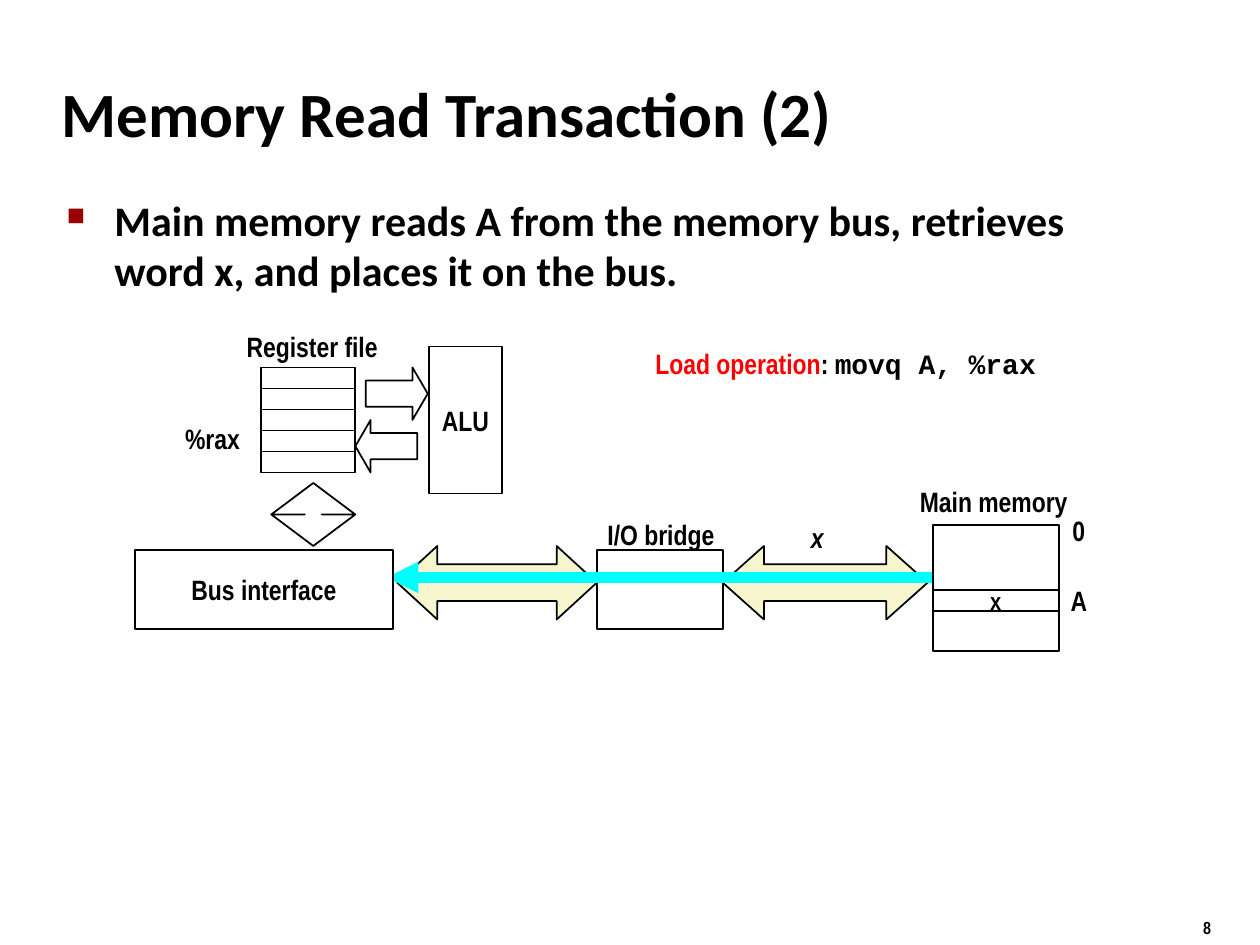
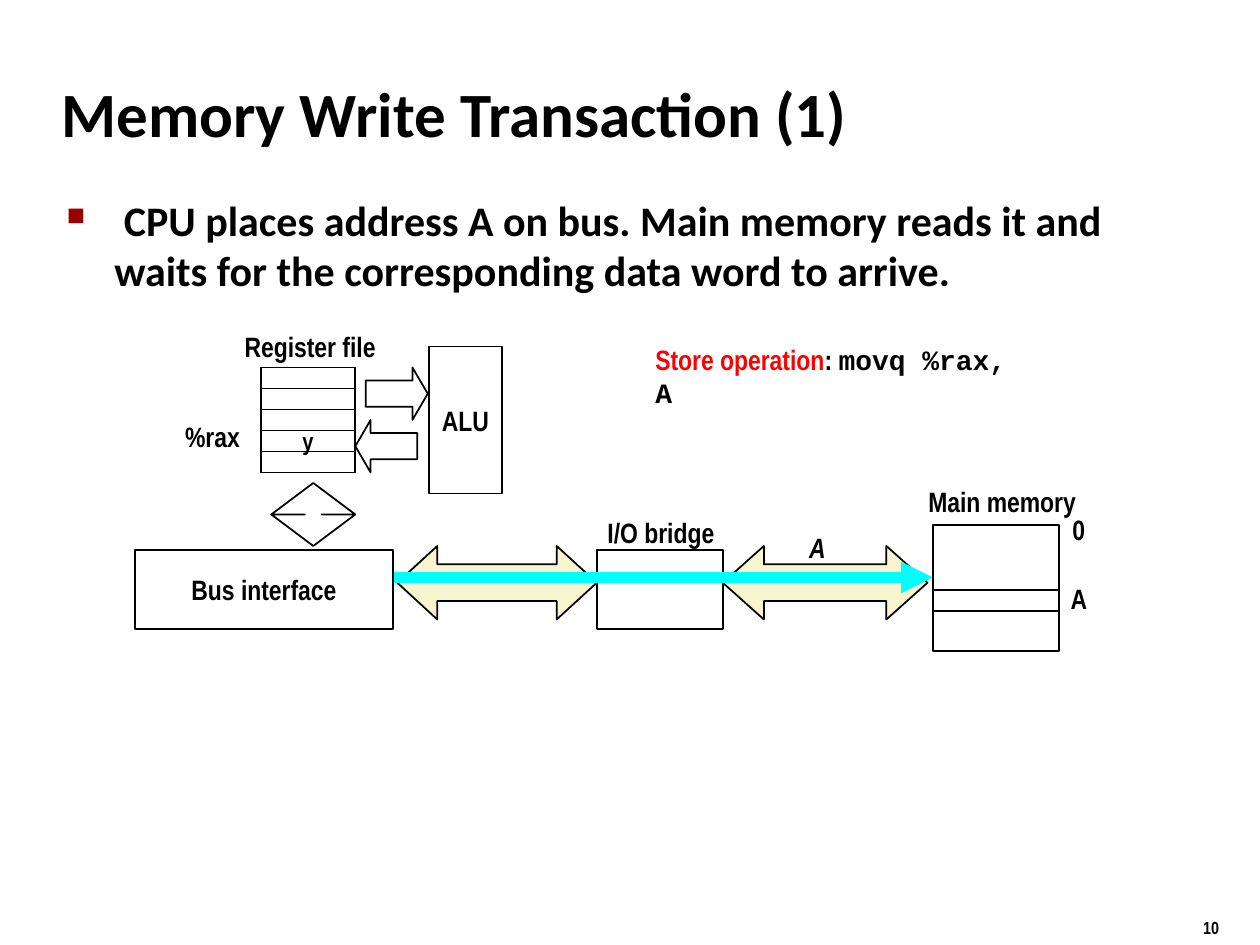
from dataclasses import dataclass

from lxml import etree
from pptx import Presentation
from pptx.dml.color import RGBColor
from pptx.enum import shapes, text
from pptx.oxml import ns
from pptx.util import Inches, Pt

BLACK = RGBColor(0x00, 0x00, 0x00)
WHITE = RGBColor(0xFF, 0xFF, 0xFF)
RED = RGBColor(0xFF, 0x00, 0x00)
CYAN = RGBColor(0x00, 0xFF, 0xFF)
CREAM = RGBColor(0xF7, 0xF5, 0xCD)
BULLET_RED = "990000"

HEADING_FONT = "Calibri"
LABEL_FONT = "Arial Narrow"
CODE_FONT = "Courier New"

SLIDE_WIDTH, SLIDE_HEIGHT = Inches(10), Inches(7.5)
CELL = Inches(1) / 12
GRID_LEFT = Inches(0.07)
LABEL_ROWS = 4.3
REGISTERS = 5
RAX = 3
SHAPE = shapes.MSO_SHAPE
ALIGN = text.PP_ALIGN
ANCHOR = text.MSO_ANCHOR


@dataclass
class Transaction:
    number: str
    title: str
    summary: str
    operation: str
    code: str
    bus_value: str
    bus_value_row: float
    to_memory: bool
    register_value: str = ""
    memory_value: str = ""
    register_label_column: float = 28.9
    memory_label_column: float = 93.8
    operation_row: float = 32.4
    label_shift: float = 0


TRANSACTIONS = [
    Transaction(
        number="8",
        title="Memory Read Transaction (2)",
        summary="Main memory reads A from the memory bus, retrieves word x, "
                "and places it on the bus.",
        operation="Load operation",
        code="movq A, %rax",
        bus_value="x",
        bus_value_row=49,
        to_memory=False,
        memory_value="x",
    ),
    Transaction(
        number="10",
        title="Memory Write Transaction (1)",
        summary=" CPU places address A on bus. Main memory reads it and waits "
                "for the corresponding data word to arrive.",
        operation="Store operation",
        code="movq %rax, A",
        bus_value="A",
        bus_value_row=50,
        to_memory=True,
        register_value="y",
        register_label_column=28.7,
        memory_label_column=94.6,
        operation_row=32,
        label_shift=-0.15,
    ),
]


def grid(column, row, columns, rows):
    return [round(v) for v in (GRID_LEFT + column * CELL, row * CELL,
                               columns * CELL, rows * CELL)]


def share(left, top, width, height):
    return [round(v) for v in (left * SLIDE_WIDTH, top * SLIDE_HEIGHT,
                               width * SLIDE_WIDTH, height * SLIDE_HEIGHT)]


def write(box, words, size=16, font=LABEL_FONT, color=BLACK, italic=False,
          align=ALIGN.CENTER, anchor=ANCHOR.MIDDLE, wrap=False):
    frame = box.text_frame
    frame.word_wrap = wrap
    frame.vertical_anchor = anchor
    para = frame.paragraphs[0]
    para.alignment = align
    span = para.add_run()
    span.text = words
    span.font.size = Pt(size)
    span.font.name = font
    span.font.bold = True
    span.font.italic = italic
    span.font.color.rgb = color
    return para


def add_text(page, area, words, **style):
    box = page.shapes.add_textbox(*area)
    write(box, words, **style)
    return box


def add_label(page, center, row, words, columns=12, **style):
    area = grid(center - columns / 2, row, columns, LABEL_ROWS)
    return add_text(page, area, words, **style)


def add_block(page, area, words="", kind=SHAPE.RECTANGLE, fill=None,
              adjustments=(), size=16):
    block = page.shapes.add_shape(kind, *area)
    block.shadow.inherit = False
    for index, value in enumerate(adjustments):
        block.adjustments[index] = value
    if fill is None:
        block.fill.background()
    else:
        block.fill.solid()
        block.fill.fore_color.rgb = fill
    block.line.color.rgb = BLACK
    block.line.width = Pt(1)
    if words:
        write(block, words, size=size)
    return block


def add_bullet(para):
    para.space_before = Pt(4.8)
    properties = para._p.get_or_add_pPr()
    properties.set("marL", str(Inches(0.38)))
    properties.set("indent", str(-Inches(0.38)))
    color = etree.SubElement(properties, ns.qn("a:buClr"))
    etree.SubElement(color, ns.qn("a:srgbClr"), val=BULLET_RED)
    etree.SubElement(properties, ns.qn("a:buSzPct"), val="60000")
    etree.SubElement(properties, ns.qn("a:buChar"), char="■")


def add_transfer(page, to_memory):
    left, top, width, _ = grid(36, 55, 52, 0)
    arrow = page.shapes.add_connector(shapes.MSO_CONNECTOR.STRAIGHT,
                                      left, top, left + width, top)
    arrow.line.color.rgb = CYAN
    arrow.line.width = Pt(6)
    end = "a:tailEnd" if to_memory else "a:headEnd"
    etree.SubElement(arrow.line._get_or_add_ln(), ns.qn(end), type="triangle")
    etree.SubElement(arrow._element.spPr, ns.qn("a:effectLst"))


def add_heading(page, step):
    add_text(page, share(0.945, 0.964, 0.05, 0.035), step.number, size=10,
             align=ALIGN.LEFT, anchor=ANCHOR.TOP)
    add_text(page, share(0.039, 0.064, 0.83, 0.11), step.title, size=36,
             font=HEADING_FONT, align=ALIGN.LEFT, wrap=True)
    summary = add_text(page, share(0.043, 0.199, 0.864, 0.725), step.summary,
                       size=24, font=HEADING_FONT, align=ALIGN.LEFT,
                       anchor=ANCHOR.TOP, wrap=True)
    add_bullet(summary.text_frame.paragraphs[0])


def add_buses(page):
    add_block(page, grid(68, 52, 19.5, 7), kind=SHAPE.LEFT_RIGHT_ARROW,
              fill=CREAM, adjustments=(0.5, 0.56))
    add_block(page, grid(56, 52.4, 12, 7.5))
    add_block(page, grid(37, 52, 19, 7), kind=SHAPE.LEFT_RIGHT_ARROW,
              fill=CREAM, adjustments=(0.5, 0.545))


def add_processor(page, step):
    for index in range(REGISTERS):
        value = step.register_value if index == RAX else ""
        add_block(page, grid(24, 35 + 2 * index, 9, 2), value, size=14)
    for kind, column, row in ((SHAPE.RIGHT_ARROW, 34, 35),
                              (SHAPE.LEFT_ARROW, 33, 40)):
        add_block(page, grid(column, row, 5.9, 5), kind=kind,
                  adjustments=(0.5, 0.292))
    add_block(page, grid(40, 33, 7, 14), "ALU")
    add_label(page, step.register_label_column, 30.8, "Register file", 14.9)
    add_block(page, grid(25, 46, 8, 6), kind=SHAPE.UP_DOWN_ARROW,
              adjustments=(0.5, 0.2))


def add_memory(page, step):
    add_block(page, grid(88, 50, 12, 12))
    add_block(page, grid(88, 56.2, 12, 2), step.memory_value, size=14)
    add_label(page, step.memory_label_column, 45.6, "Main memory", 16.5)
    for row, address in ((48.4, "0"), (55, "A")):
        add_label(page, 101.9, row + step.label_shift, address, 4)


def add_operation(page, step):
    box = add_text(page, grid(60.4, step.operation_row, 38.9, 7.5),
                   step.operation, color=RED, align=ALIGN.LEFT,
                   anchor=ANCHOR.TOP)
    write(box, ": ", align=ALIGN.LEFT, anchor=ANCHOR.TOP)
    write(box, step.code, font=CODE_FONT, align=ALIGN.LEFT, anchor=ANCHOR.TOP)


def add_transaction(deck, step):
    page = deck.slides.add_slide(deck.slide_layouts[6])
    add_heading(page, step)
    add_buses(page)
    add_processor(page, step)
    add_transfer(page, step.to_memory)
    add_block(page, grid(12, 52.4, 24.6, 7.5), "Bus interface", fill=WHITE)
    add_label(page, 77, step.bus_value_row, step.bus_value, 4, italic=True)
    add_memory(page, step)
    add_label(page, 19.4, 39.6 + step.label_shift, "%rax", 7.6)
    add_label(page, 62.1, 48.7 + step.label_shift, "I/O bridge", 12.6)
    add_operation(page, step)


def main():
    deck = Presentation()
    deck.slide_width, deck.slide_height = SLIDE_WIDTH, SLIDE_HEIGHT
    for step in TRANSACTIONS:
        add_transaction(deck, step)
    deck.save("out.pptx")


if __name__ == "__main__":
    main()
